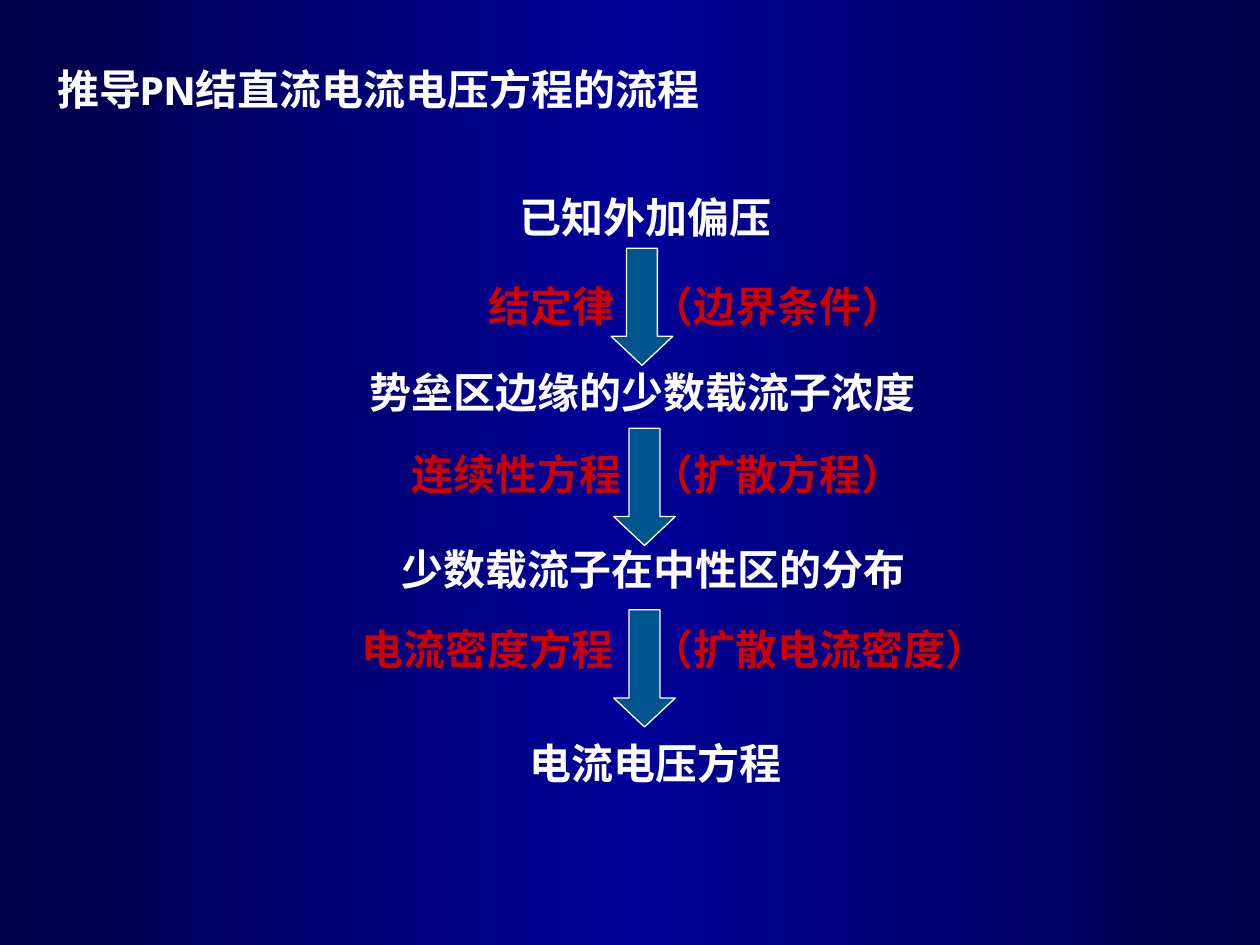
"""Build the slide on deriving the PN junction current-voltage equation."""
from copy import deepcopy
from dataclasses import dataclass

from lxml import etree
from pptx import Presentation, util as u
from pptx.dml.color import RGBColor
from pptx.enum import shapes, text
from pptx.oxml.ns import qn


@dataclass(frozen=True)
class Theme:
    font: str = "League Spartan"
    size: int = 24
    edge: str = "000047"
    mid: str = "000099"
    white: str = "FFFFFF"
    red: str = "CC0000"
    arrow: str = "00558E"


LOOK = Theme()
NOTE_X = 5.17
ROW_H = 0.5
STATES = [
    (3.82, 1.47, 2.6, "已知外加偏压"),
    (2.07, 2.86, 6.06, "势垒区边缘的少数载流子浓度"),
    (2.16, 4.26, 6.06, "少数载流子在中性区的分布"),
    (2.17, 5.8, 6.06, "电流电压方程"),
]
LAWS = [
    (3.78, 2.18, 3.5, "结定律", "（边界条件）"),
    (3.17, 3.51, 4.09, "连续性方程", "（扩散方程）"),
    (2.77, 4.9, 5.17, "电流密度方程", "（扩散电流密度）"),
]
ARROWS = [(4.85, 1.97), (4.87, 3.4), (4.87, 4.84)]


def rgb(code):
    return RGBColor.from_string(code)


def apply(item, vals):
    for name, val in vals.items():
        setattr(item, name, val)


def paint(slide):
    fill = slide.background.fill
    fill.gradient()
    fill.gradient_angle = 0
    stops = slide.element.find(".//" + qn("a:gsLst"))
    stops.insert(1, deepcopy(stops[0]))
    for stop, pos, code in zip(fill.gradient_stops, (0, 0.5, 1),
                               (LOOK.edge, LOOK.mid, LOOK.edge)):
        stop.position = pos
        stop.color.rgb = rgb(code)


def write(shape, words, color, align):
    frame = shape.text_frame
    apply(frame, {"word_wrap": True, "auto_size": text.MSO_AUTO_SIZE.NONE,
                  "vertical_anchor": text.MSO_ANCHOR.MIDDLE})
    para = frame.paragraphs[0]
    para.alignment = align
    run = para.add_run()
    run.text = words
    apply(run.font, {"name": LOOK.font, "size": u.Pt(LOOK.size), "bold": True})
    run.font.color.rgb = rgb(color)
    return para


def add_title(slide, words):
    title = slide.shapes.title
    apply(title, {"left": u.Inches(0.36), "top": u.Inches(0.45),
                  "width": u.Inches(8.05), "height": u.Inches(ROW_H)})
    write(title, words, LOOK.white, text.PP_ALIGN.LEFT)


def add_box(slide, left, top, width):
    return slide.shapes.add_textbox(*map(u.Inches, (left, top, width, ROW_H)))


def add_state(slide, left, top, width, words):
    box = add_box(slide, left, top, width)
    write(box, words, LOOK.white, text.PP_ALIGN.CENTER)


def add_law(slide, left, top, width, law, note):
    box = add_box(slide, left, top, width)
    box.text_frame.margin_right = 0
    para = write(box, f"{law}\t{note}", LOOK.red, text.PP_ALIGN.LEFT)
    tabs = etree.SubElement(para._p.get_or_add_pPr(), qn("a:tabLst"))
    stop = u.Inches(round(NOTE_X - left - 0.1, 2))
    etree.SubElement(tabs, qn("a:tab"), pos=str(stop), algn="l")


def add_arrow(slide, left, top):
    arrow = slide.shapes.add_shape(
        shapes.MSO_SHAPE.DOWN_ARROW, *map(u.Inches, (left, top, 0.49, 0.93)))
    arrow.shadow.inherit = False
    arrow.adjustments[0] = 0.5
    arrow.adjustments[1] = 0.47
    arrow.fill.solid()
    arrow.fill.fore_color.rgb = rgb(LOOK.arrow)
    arrow.line.color.rgb = rgb(LOOK.white)
    arrow.line.width = u.Pt(0.75)


def main():
    deck = Presentation()
    apply(deck, {"slide_width": u.Inches(10), "slide_height": u.Inches(7.5)})
    slide = deck.slides.add_slide(deck.slide_layouts[5])
    paint(slide)
    add_title(slide, "推导PN结直流电流电压方程的流程")
    for add, rows in ((add_state, STATES), (add_law, LAWS), (add_arrow, ARROWS)):
        for row in rows:
            add(slide, *row)
    deck.save("out.pptx")


if __name__ == "__main__":
    main()
